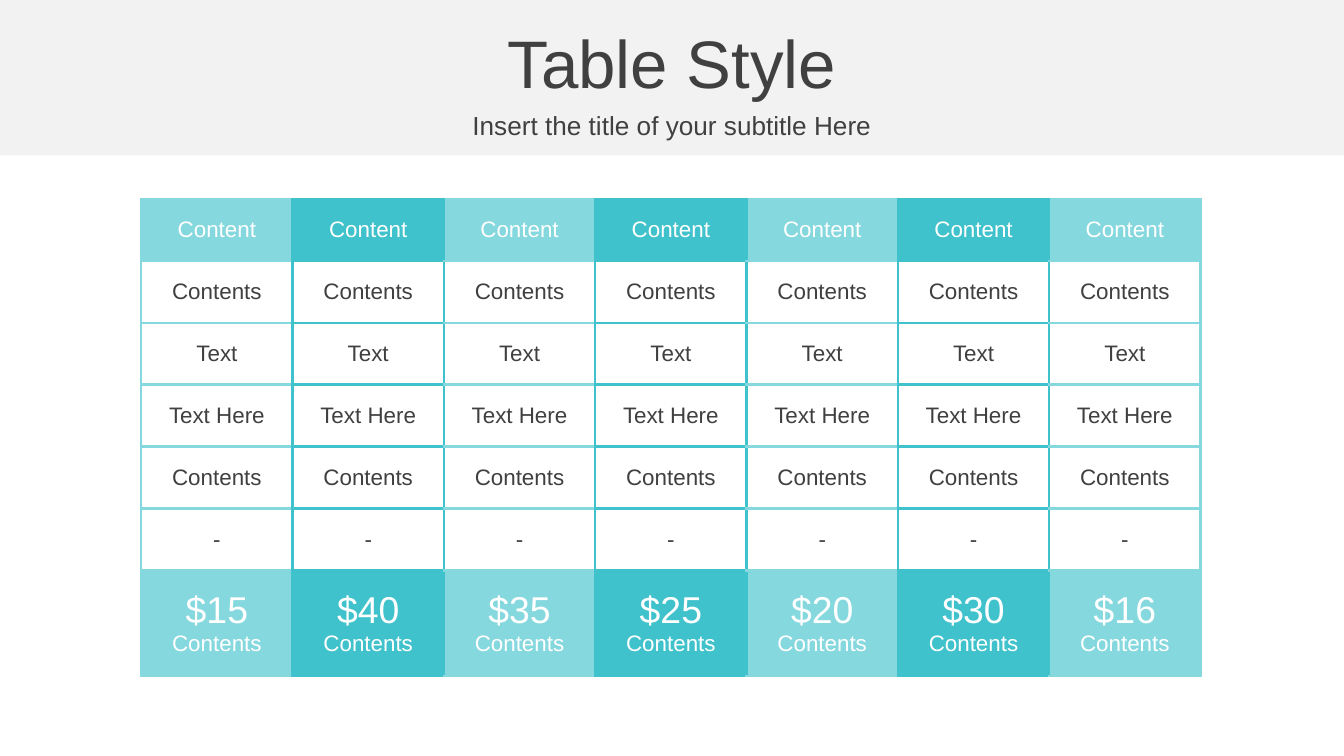
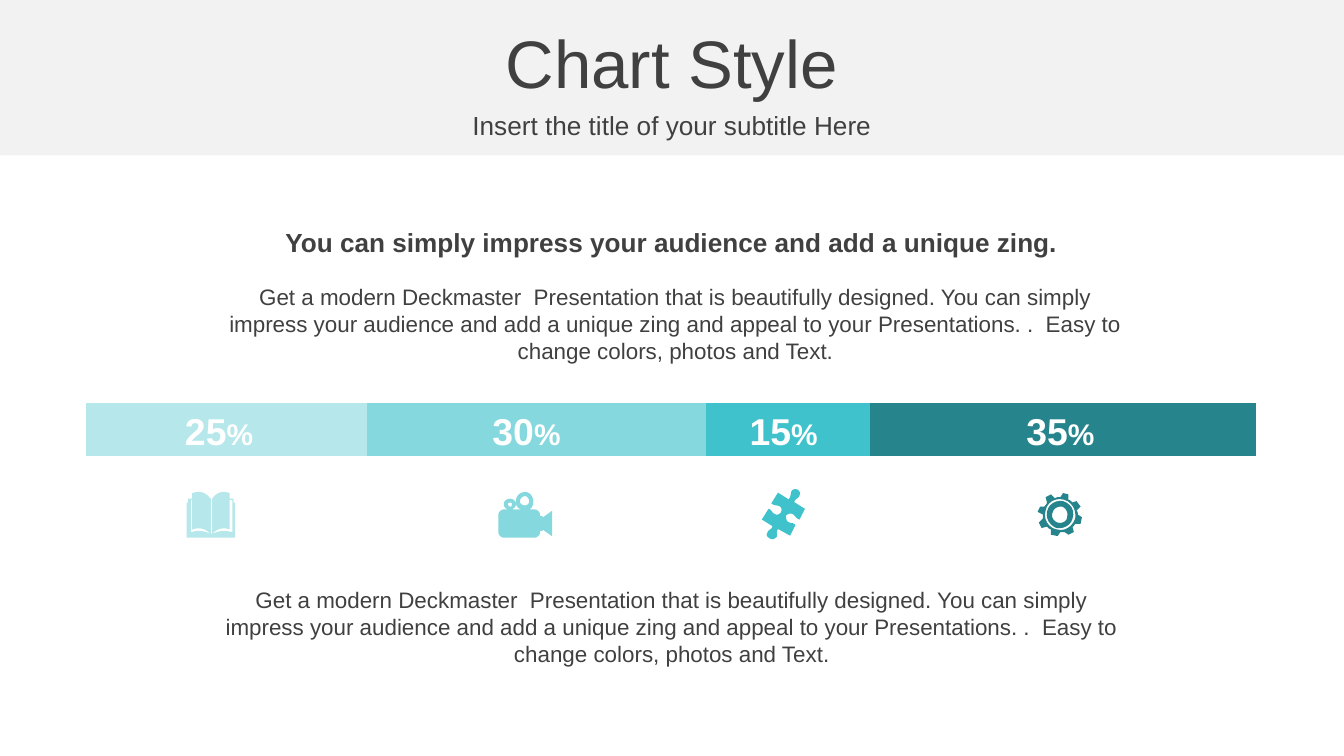
"""Build a table slide and a chart slide that share one title band."""
from dataclasses import dataclass
from math import cos, radians, sin

from lxml.etree import SubElement
from pptx import Presentation
from pptx.chart.data import CategoryChartData as ChartData
from pptx.dml.color import RGBColor
from pptx.dml.fill import FillFormat
from pptx.enum.chart import XL_CHART_TYPE as ChartType
from pptx.enum.shapes import MSO_SHAPE as Preset
from pptx.enum.text import MSO_ANCHOR as Anchor, MSO_AUTO_SIZE as AutoSize, PP_ALIGN as Align
from pptx.oxml import parse_xml
from pptx.oxml.ns import nsdecls, qn
from pptx.slide import Slide
from pptx.table import _Cell as Cell
from pptx.text.text import _Paragraph as Paragraph
from pptx.util import Cm, Pt

COLORS = {
    "ink": "404040", "white": "FFFFFF", "band": "F2F2F2", "black": "000000",
    "pale": "B6E8EB", "light": "85D8DE", "teal": "3FC2CB", "deep": "26858C",
}
FONT = "Arial"
SLIDE_WIDTH, SLIDE_HEIGHT = 25.4, 14.29
OUTLINE_UNIT = Cm(0.0254)
CURVE_STEPS = 6

SUBTITLE = "Insert the title of your subtitle Here"
HEADLINE = "You can simply impress your audience and add a unique zing."
BODY = ("Get a modern Deckmaster  Presentation that is beautifully designed. You can simply "
        "impress your audience and add a unique zing and appeal to your Presentations. .  "
        "Easy to change colors, photos and Text.")

HEADER = "Content"
ROW_LABELS = ["Contents", "Text", "Text Here", "Contents", "-"]
PRICES = ["$15", "$40", "$35", "$25", "$20", "$30", "$16"]

BOOK = (
    "18,31 19,31 25,29,27,28,34,30 34,6 32,6 32,13,32,20,32,28 28,26,23,27,19,31 19,5 "
    "21,2,24,0,27,0 28,0,30,0,32,1 32,5 35,5 35,8 36,8 36,34 0,34 0,8 1,8 1,5 4,5 4,1 "
    "6,0,8,0,9,0 13,0,15,2,18,5 18,31 13,27,9,26,4,28 4,6 3,6 3,30 9,28,12,29,18,31"
)
CAMERA = (
    "9,8 8,8,7,8,7,9 7,10,8,11,9,11 10,11,10,10,10,9 10,8,10,8,9,8 / "
    "20,3 18,3,16,5,16,7 16,9,18,10,20,10 21,10,23,9,23,7 23,5,21,3,20,3 / "
    "20,0 23,0,26,3,26,7 26,10,25,12,23,13 27,13 29,13,31,15,31,17 31,18 33,18 33,19 "
    "40,14 40,33 33,28 33,29 31,29 31,30 31,32,29,34,27,34 4,34 2,34,0,32,0,30 0,17 "
    "0,15,2,13,4,13 7,13 5,12,4,11,4,9 4,7,6,5,9,5 11,5,13,7,13,9 13,11,12,12,10,13 "
    "17,13 14,12,13,10,13,7 13,3,16,0,20,0"
)
PUZZLE = (
    "27,3 28,4,29,5,28,7 27,10,25,9,24,12 32,17 28,25 25,24,25,22,23,21 21,20,19,21,18,22 "
    "18,24,18,26,20,27 22,28,23,27,25,29 21,37 12,32 10,35,12,35,11,38 9,40,7,40,6,39 "
    "4,38,3,37,4,35 5,32,7,33,8,30 0,25 5,17 8,18,7,20,10,21 11,22,13,21,14,20 "
    "15,18,15,16,13,15 10,14,10,15,7,13 12,5 20,10 22,7,21,7,22,4 23,2,26,2,27,3"
)
GEAR = (
    "18,10 15,10,12,11,11,15 10,18,12,21,15,22 18,23,22,21,22,18 23,14,21,11,18,10 / "
    "19,6 25,8,28,13,26,19 25,24,19,27,14,26 9,24,6,19,7,14 8,8,14,5,19,6 / "
    "20,5 13,3,7,7,6,13 4,19,8,26,14,27 20,29,26,25,28,19 29,13,26,7,20,5 / "
    "23,1 23,5 24,5,25,6,26,7 29,6 32,10 29,13 30,14,30,15,30,16 33,18 32,23 28,23 "
    "27,24,27,25,26,25 27,29 23,31 20,29 19,29,18,29,17,29 15,32 10,31 10,27 "
    "9,27,8,26,7,25 3,26 1,22 4,19 4,18,4,17,4,16 0,14 2,10 5,10 6,9,7,8,7,7 6,3 "
    "10,1 13,4 14,3,15,3,17,3 19,0"
)


@dataclass(frozen=True)
class Box:
    left: float
    top: float
    width: float
    height: float

    def lengths(self) -> list[Cm]:
        return [Cm(value) for value in (self.left, self.top, self.width, self.height)]


@dataclass(frozen=True)
class Icon:
    outline: str
    left: float
    top: float
    rotation: float = 0
    pivot: tuple[float, float] = (0, 0)


@dataclass(frozen=True)
class Segment:
    label: str
    label_left: float
    value: int
    color: str
    icon: Icon


SEGMENTS = [
    Segment("25", 3.05, 24, "pale", Icon(BOOK, 3.53, 9.3)),
    Segment("30", 8.86, 29, "light", Icon(CAMERA, 9.42, 9.3)),
    Segment("15", 13.72, 14, "teal", Icon(PUZZLE, 14.4, 9.19, 29.9, (16, 21))),
    Segment("35", 18.95, 33, "deep", Icon(GEAR, 19.61, 9.32)),
]


def paint(fill: FillFormat, color: str) -> None:
    fill.solid()
    fill.fore_color.rgb = RGBColor.from_string(COLORS[color])


def write(paragraph: Paragraph, text: str, *, size: float, color: str = "ink",
          bold: bool = False) -> None:
    paragraph.alignment = Align.CENTER
    run = paragraph.add_run()
    run.text = text
    run.font.name, run.font.size, run.font.bold = FONT, Pt(size), bold
    run.font.color.rgb = RGBColor.from_string(COLORS[color])


def add_text_box(slide: Slide, box: Box, grow: bool = True) -> Paragraph:
    frame = slide.shapes.add_textbox(*box.lengths()).text_frame
    frame.word_wrap = True
    frame.vertical_anchor = Anchor.MIDDLE
    frame.auto_size = AutoSize.SHAPE_TO_FIT_TEXT if grow else AutoSize.NONE
    return frame.paragraphs[0]


def add_titled_slide(presentation: Presentation, title: str) -> Slide:
    slide = presentation.slides.add_slide(presentation.slide_layouts[6])
    band = slide.shapes.add_shape(Preset.RECTANGLE, *Box(0, 0, SLIDE_WIDTH, 2.94).lengths())
    band.shadow.inherit = False
    band.line.fill.background()
    paint(band.fill, "band")
    write(add_text_box(slide, Box(0, 0.36, SLIDE_WIDTH, 1.6), grow=False), title, size=36)
    write(add_text_box(slide, Box(0, 1.96, SLIDE_WIDTH, 0.79), grow=False), SUBTITLE, size=14)
    return slide


def set_borders(cell: Cell, **colors: str) -> None:
    properties = cell._tc.get_or_add_tcPr()
    for position, (side, color) in enumerate(colors.items()):
        properties.insert(position, parse_xml(
            f'<a:ln{side} {nsdecls("a")} w="{Pt(1.5)}"><a:solidFill>'
            f'<a:srgbClr val="{COLORS[color]}"/></a:solidFill></a:ln{side}>'))


def add_price_table(slide: Slide) -> None:
    rows, columns = len(ROW_LABELS) + 2, len(PRICES)
    table = slide.shapes.add_table(rows, columns, *Box(2.67, 3.76, 20.02, 9).lengths()).table
    table.first_row = table.horz_banding = False
    for column in table.columns:
        column.width = Cm(2.86)
    for index, row in enumerate(table.rows):
        row.height = Cm(2 if index == rows - 1 else 1.17)

    for column, price in enumerate(PRICES):
        accent = "teal" if column % 2 else "light"
        left = "light" if column == 0 else "teal"
        right = "light" if column == columns - 1 else "teal"
        for row, label in enumerate([HEADER, *ROW_LABELS, "Contents"]):
            cell = table.cell(row, column)
            cell.vertical_anchor = Anchor.MIDDLE
            colored = row in (0, rows - 1)
            paint(cell.fill, accent if colored else "white")
            set_borders(cell, L=left, R=right, T=accent, B=accent)
            paragraph = cell.text_frame.paragraphs[0]
            if row == rows - 1:
                write(paragraph, price, size=20, color="white")
                paragraph = cell.text_frame.add_paragraph()
            write(paragraph, label, size=12, color="white" if colored else "ink")


def add_share_chart(slide: Slide) -> None:
    data = ChartData()
    data.categories = ["1"]
    for number, segment in enumerate(SEGMENTS, 1):
        data.add_series(f"Series {number}", [segment.value])
    chart = slide.shapes.add_chart(
        ChartType.BAR_STACKED_100, *Box(1.09, 7.11, 23.19, 2.03).lengths(), data).chart
    chart.has_legend = chart.has_title = False
    chart.font.name, chart.font.size = FONT, Pt(18)
    chart.font.color.rgb = RGBColor.from_string(COLORS["black"])
    for axis in (chart.category_axis, chart.value_axis):
        axis.visible = axis.has_major_gridlines = False

    plot = chart.plots[0]
    plot.gap_width, plot.overlap, plot.vary_by_categories = 100, 100, False
    for series, segment in zip(plot.series, SEGMENTS):
        paint(series.format.fill, "light" if segment.color == "pale" else segment.color)
        paint(series.points[0].format.fill, segment.color)

    area = chart._chartSpace.chart.plotArea
    for layout in area.findall(qn("c:layout")):
        area.remove(layout)
    area.insert(0, parse_xml(f'<c:layout {nsdecls("c")}/>'))
    manual = SubElement(area[0], qn("c:manualLayout"))
    settings = {"layoutTarget": "inner", "xMode": "edge", "yMode": "edge",
                "x": 0.023, "y": 0, "w": 0.954, "h": 0.996}
    for name, value in settings.items():
        SubElement(manual, qn(f"c:{name}")).set("val", str(value))


def trace(contour: str) -> list[tuple[float, float]]:
    points: list[tuple[float, float]] = []
    for token in contour.split():
        numbers = [float(number) for number in token.split(",")]
        if len(numbers) == 2:
            points.append((numbers[0], numbers[1]))
            continue
        controls = [points[-1], *zip(numbers[::2], numbers[1::2])]
        for step in range(1, CURVE_STEPS + 1):
            t = step / CURVE_STEPS
            weights = ((1 - t) ** 3, 3 * t * (1 - t) ** 2, 3 * t * t * (1 - t), t ** 3)
            points.append((sum(w * x for w, (x, _) in zip(weights, controls)),
                           sum(w * y for w, (_, y) in zip(weights, controls))))
    return points


def add_icon(slide: Slide, icon: Icon, color: str) -> None:
    angle, (pivot_x, pivot_y) = radians(icon.rotation), icon.pivot

    def place(point: tuple[float, float]) -> tuple[float, float]:
        x, y = point[0] - pivot_x, point[1] - pivot_y
        return ((pivot_x + x * cos(angle) + y * sin(angle)) * OUTLINE_UNIT,
                (pivot_y - x * sin(angle) + y * cos(angle)) * OUTLINE_UNIT)

    contours = [[place(point) for point in trace(contour)]
                for contour in icon.outline.split("/")]
    builder = slide.shapes.build_freeform(*contours[0][0])
    for index, (start, *points) in enumerate(contours):
        if index:
            builder.move_to(*start)
        builder.add_line_segments(points, close=True)
    shape = builder.convert_to_shape(Cm(icon.left), Cm(icon.top))
    shape.rotation = icon.rotation
    shape.shadow.inherit = False
    shape.line.fill.background()
    paint(shape.fill, color)


def add_chart_content(slide: Slide) -> None:
    add_share_chart(slide)
    for segment in SEGMENTS:
        paragraph = add_text_box(slide, Box(segment.label_left, 7.57, 2.18, 1.12))
        write(paragraph, segment.label, size=20, color="white", bold=True)
        write(paragraph, "%", size=16, color="white", bold=True)
        add_icon(slide, segment.icon, segment.color)
    for left, top in ((4.06, 5.21), (3.99, 10.95)):
        write(add_text_box(slide, Box(left, top, 17.42, 1.8)), BODY, size=12)
    write(add_text_box(slide, Box(4.95, 4.14, 15.49, 0.86)), HEADLINE, size=14, bold=True)


def main() -> None:
    presentation = Presentation()
    presentation.slide_width, presentation.slide_height = Cm(SLIDE_WIDTH), Cm(SLIDE_HEIGHT)
    add_price_table(add_titled_slide(presentation, "Table Style"))
    add_chart_content(add_titled_slide(presentation, "Chart Style"))
    presentation.save("out.pptx")


if __name__ == "__main__":
    main()
